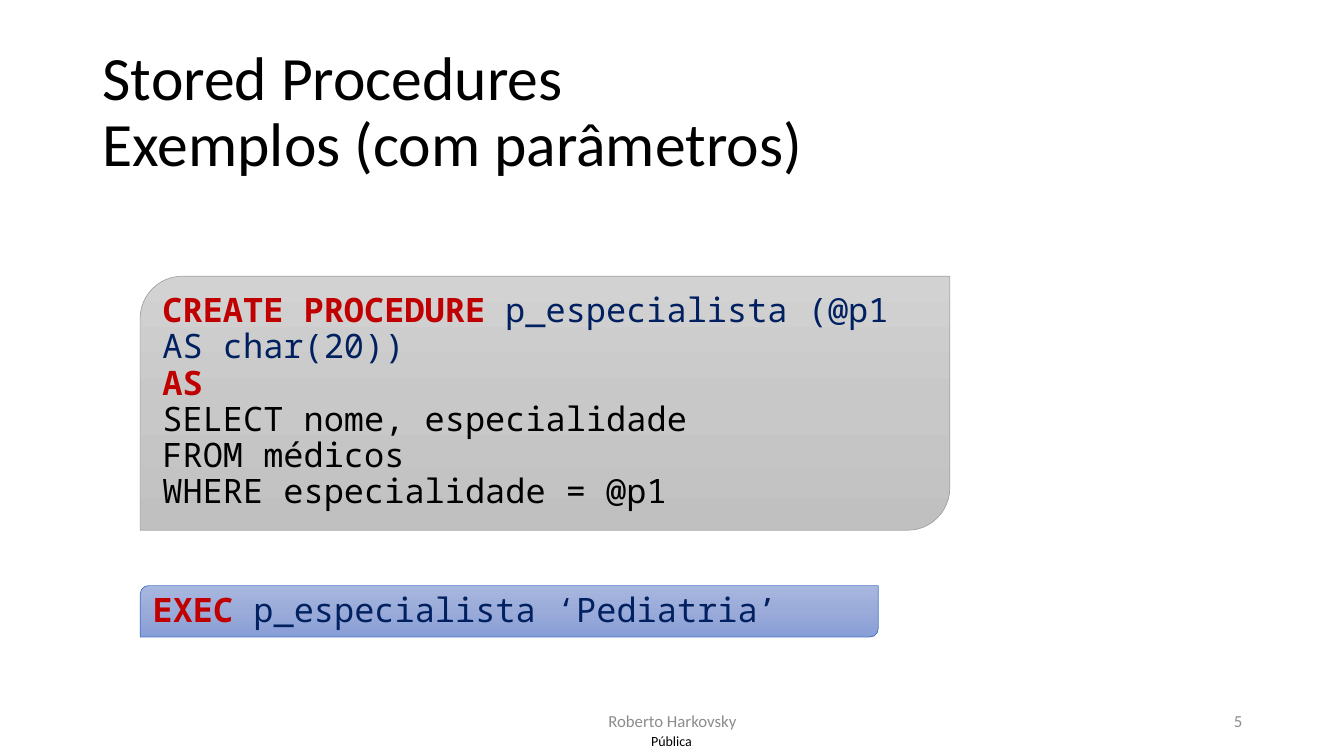
from copy import deepcopy

from pptx import Presentation
from pptx.dml.color import RGBColor
from pptx.enum.shapes import MSO_SHAPE
from pptx.enum.text import MSO_ANCHOR as ANCHOR, MSO_AUTO_SIZE as AUTO, PP_ALIGN as ALIGN
from pptx.oxml.ns import qn
from pptx.util import Inches, Pt

SANS, MONO = "Calibri", "Noto Sans Mono"
BLACK, GREY, RED, NAVY = "000000", "8C8C8C", "C00000", "002060"


def rgb(hex_color):
    return RGBColor.from_string(hex_color)


def add_run(p, text, color, font, size, bold=False):
    r = p.add_run()
    r.text = text
    for name, value in {"name": font, "size": Pt(size), "bold": bold}.items():
        setattr(r.font, name, value)
    r.font.color.rgb = rgb(color)


def add_label(slide, box, text, size, color, align=ALIGN.LEFT, spacing=1.0, **frame):
    """Text box centred vertically; line feeds become line breaks."""
    tf = slide.shapes.add_textbox(*map(Inches, box)).text_frame
    settings = {"word_wrap": True, "vertical_anchor": ANCHOR.MIDDLE, **frame}
    for name, value in settings.items():
        setattr(tf, name, value)
    p = tf.paragraphs[0]
    p.alignment, p.line_spacing = align, spacing
    for i, line in enumerate(text.split("\n")):
        if i:
            p.add_line_break()
        add_run(p, line, color, SANS, size)


def fill_gradient(shape, colors):
    """Three evenly spaced stops, running from top to bottom."""
    fill = shape.fill
    fill.gradient()
    fill.gradient_angle = 270
    stops = shape.element.spPr.find(".//" + qn("a:gsLst"))
    stops.insert(1, deepcopy(stops[0]))
    for i, (stop, color) in enumerate(zip(fill.gradient_stops, colors)):
        stop.position = i / (len(colors) - 1)
        stop.color.rgb = rgb(color)


def add_code_box(slide, box, gradient, line_color, code):
    """Code is a list of lines, each a list of (text, colour, bold)."""
    sp = slide.shapes.add_shape(MSO_SHAPE.ROUND_2_DIAG_RECTANGLE, *map(Inches, box))
    sp.shadow.inherit = False
    fill_gradient(sp, gradient)
    sp.line.color.rgb = rgb(line_color)
    sp.line.width = Pt(0.5)
    tf = sp.text_frame
    settings = {"word_wrap": True, "vertical_anchor": ANCHOR.TOP,
                "auto_size": AUTO.SHAPE_TO_FIT_TEXT}
    for name, value in settings.items():
        setattr(tf, name, value)
    for i, parts in enumerate(code):
        p = tf.add_paragraph() if i else tf.paragraphs[0]
        p.alignment, p.line_spacing = ALIGN.LEFT, 0.9
        for text, color, bold in parts:
            add_run(p, text, color, MONO, 24, bold)


def add_footer(slide, top):
    add_label(slide, (4.42, top, 4.5, 0.4), "Roberto Harkovsky", 12, GREY, ALIGN.CENTER)
    add_label(slide, (9.42, top, 3, 0.4), "5", 12, GREY, ALIGN.RIGHT)
    no_margins = {f"margin_{side}": 0 for side in ("left", "top", "right", "bottom")}
    add_label(slide, (6.31, top + 0.26, 0.7, 0.29), "Pública", 10, BLACK,
              ALIGN.CENTER, **no_margins)


def main():
    prs = Presentation()
    prs.slide_width, prs.slide_height = Inches(13.33), Inches(7.5)
    slide = prs.slides.add_slide(prs.slide_layouts[6])

    # Title
    add_label(slide, (0.92, 0.4, 11.5, 1.45),
              "Stored Procedures\nExemplos (com parâmetros)", 44, BLACK, spacing=0.9)

    # Procedure definition
    query = ["SELECT nome, especialidade", "FROM médicos", "WHERE especialidade = @p1"]
    definition = [
        [("CREATE PROCEDURE ", RED, True), ("p_especialista (@p1 AS char(20))", NAVY, False)],
        [("AS", RED, True)],
        *[[(line, BLACK, False)] for line in query],
    ]
    add_code_box(slide, (1.39, 2.74, 8.03, 2.52), ("D2D2D2", "C8C8C8", "C0C0C0"),
                 "A5A5A5", definition)

    # Procedure call
    call = [[("EXEC ", RED, True), ("p_especialista ‘Pediatria’", NAVY, False)]]
    add_code_box(slide, (1.39, 5.81, 7.32, 0.51), ("A8B7DF", "9AABD9", "889ED7"),
                 "4472C4", call)

    add_footer(slide, 6.95)
    prs.save("out.pptx")


if __name__ == "__main__":
    main()
